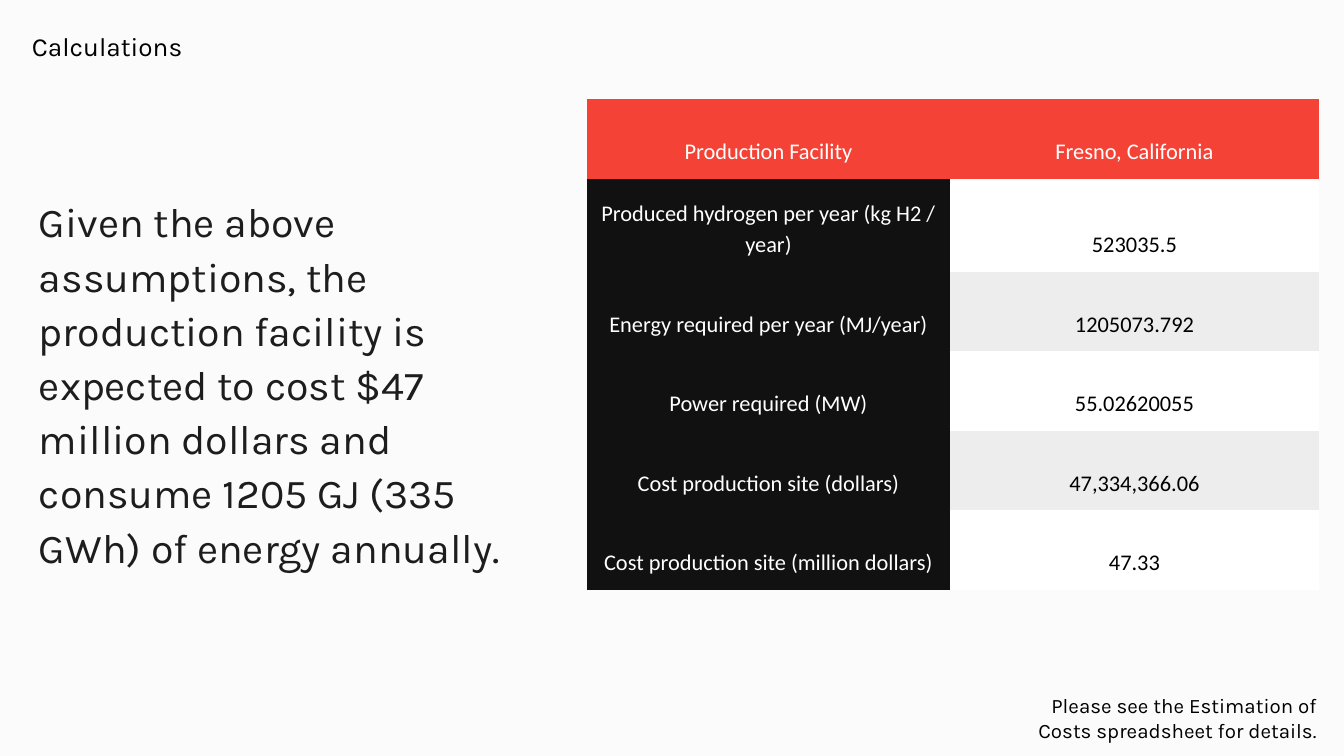
from pptx import Presentation
from pptx.dml.color import RGBColor
from pptx.enum.text import MSO_ANCHOR, PP_ALIGN
from pptx.util import Emu, Pt

SCALE = 914400 / 134.4
HUES = {
    "page": "FBFBFB", "body": "1D1D1D", "ink": "000000", "white": "FFFFFF",
    "head": "F44336", "label": "111111", "band": "EDEDED",
}
PLAIN = "{2D5ABB26-0587-4C30-8999-92F81FD0307C}"
ROWS = [
    ("Production Facility", "Fresno, California"),
    ("Produced hydrogen per year (kg H2 / year)", "523035.5"),
    ("Energy required per year (MJ/year)", "1205073.792"),
    ("Power required (MW)", "55.02620055"),
    ("Cost production site (dollars)", "47,334,366.06"),
    ("Cost production site (million dollars)", "47.33"),
]


def px(size):
    """Turn px into EMU."""
    return Emu(round(size * SCALE))


def hue(name):
    """Look up a colour by name."""
    return RGBColor.from_string(HUES[name])


def write(frame, text, size, color="ink", font="Karla", align=PP_ALIGN.LEFT, space=None):
    """Put one formatted paragraph in a text frame."""
    frame.word_wrap = True
    para = frame.paragraphs[0]
    para.alignment = align
    para.line_spacing = space
    run = para.add_run()
    run.text = text
    run.font.size = Pt(size)
    run.font.name = font
    run.font.color.rgb = hue(color)


def label(slide, box, text, inset=13, **style):
    """Place a text box with even insets."""
    frame = slide.shapes.add_textbox(*map(px, box)).text_frame
    frame.margin_left = frame.margin_right = px(inset)
    frame.margin_top = frame.margin_bottom = px(inset)
    write(frame, text, **style)


def paint(row, col):
    """Give the fill and text colours of a cell."""
    if row == 0:
        return "head", "white"
    if col == 0:
        return "label", "white"
    return ("white" if row % 2 else "band"), "ink"


def grid(slide, box, rows):
    """Place the table of costs, with a taller row for the wrapped label."""
    frame = slide.shapes.add_table(len(rows), 2, *map(px, box))
    table = frame.table
    table.first_row = table.horz_banding = False
    table._tbl.tblPr.find("{*}tableStyleId").text = PLAIN
    first = 363
    table.columns[0].width = px(first)
    table.columns[1].width = px(box[2] - first)
    tall = 93
    low = (box[3] - tall) / (len(rows) - 1)
    for r, texts in enumerate(rows):
        table.rows[r].height = px(tall if r == 1 else low)
        for c, text in enumerate(texts):
            cell = table.cell(r, c)
            fill, ink = paint(r, c)
            cell.fill.solid()
            cell.fill.fore_color.rgb = hue(fill)
            cell.vertical_anchor = MSO_ANCHOR.BOTTOM
            cell.margin_left = cell.margin_right = px(4)
            cell.margin_top = cell.margin_bottom = px(13)
            write(cell.text_frame, text, size=12, color=ink, font="Calibri",
                  align=PP_ALIGN.CENTER, space=1.15)


def main():
    """Build the slide and save it."""
    deck = Presentation()
    deck.slide_width, deck.slide_height = px(1344), px(756)
    slide = deck.slides.add_slide(deck.slide_layouts[6])
    slide.background.fill.solid()
    slide.background.fill.fore_color.rgb = hue("page")
    label(slide, (39, 192, 517, 349),
          "Given the above assumptions, the production facility is expected to cost "
          "$47 million dollars and consume 1205 GJ (335 GWh) of energy annually.",
          inset=0, size=22, color="body", space=1.1)
    grid(slide, (587, 99, 732, 491), ROWS)
    label(slide, (1002, 680, 328, 36),
          "Please see the Estimation of Costs spreadsheet for details.",
          size=11, align=PP_ALIGN.RIGHT)
    label(slide, (19, 17, 258, 36), "Calculations", size=14)
    deck.save("out.pptx")


if __name__ == "__main__":
    main()
